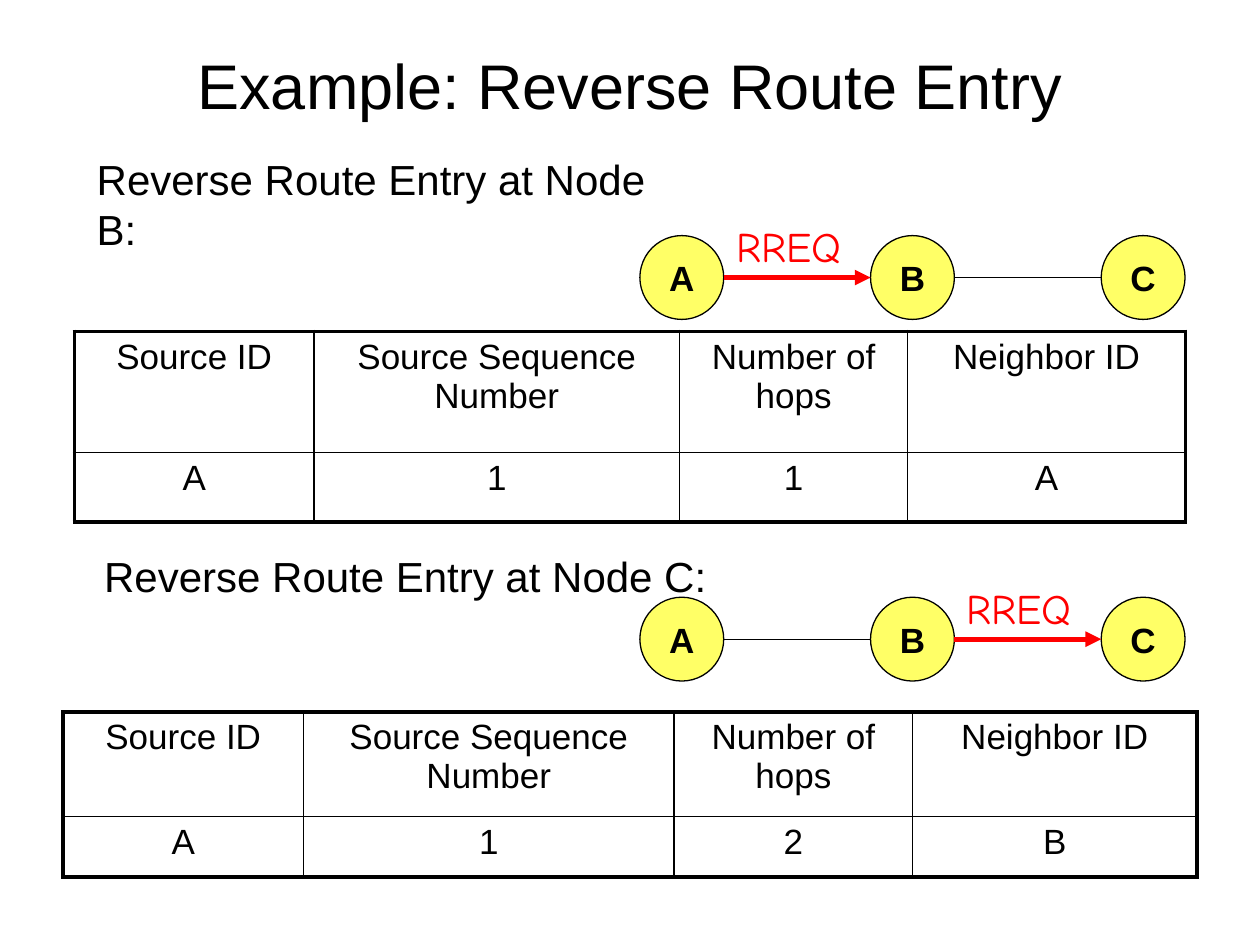
import lxml.etree
import pptx
import pptx.dml.color
import pptx.enum.shapes
import pptx.enum.text
import pptx.oxml
import pptx.oxml.ns
import pptx.util

Cm = pptx.util.Cm
Pt = pptx.util.Pt
qn = pptx.oxml.ns.qn
ANCHOR = pptx.enum.text.MSO_ANCHOR
ALIGN = pptx.enum.text.PP_ALIGN


def color(value):
    return pptx.dml.color.RGBColor.from_string(value)


def write(frame, text, frame_format, alignment, **font_format):
    for name, value in frame_format.items():
        setattr(frame, name, value)
    paragraph = frame.paragraphs[0]
    paragraph.alignment = alignment
    run = paragraph.add_run()
    run.text = text
    font_color = font_format.pop("color", "000000")
    for name, value in {"name": "Arial", **font_format}.items():
        setattr(run.font, name, value)
    run.font.color.rgb = color(font_color)


presentation = pptx.Presentation()
presentation.slide_width = Cm(25.4)
presentation.slide_height = Cm(19.05)
slide = presentation.slides.add_slide(presentation.slide_layouts[6])

title = slide.shapes.add_textbox(Cm(1.27), Cm(0.33), Cm(22.86), Cm(2.74))
title_format = {"word_wrap": True, "vertical_anchor": ANCHOR.MIDDLE}
write(title.text_frame, "Example: Reverse Route Entry", title_format, ALIGN.CENTER, size=Pt(36))

header = ["Source ID", "Source Sequence Number", "Number of hops", "Neighbor ID"]
entries = [
    {
        "heading": "Reverse Route Entry at Node B:",
        "heading_box": (1.7, 2.97, 12.4, 1.27),
        "wrap": True,
        "nodes_top": 4.75,
        "request_link": 0,
        "table_at": (1.5, 6.68),
        "columns": [4.83, 7.37, 4.6, 5.6],
        "rows": [2.44, 1.4],
        "values": ["A", "1", "1", "A"],
    },
    {
        "heading": "Reverse Route Entry at Node C:",
        "heading_box": (1.85, 10.97, 12.65, 1.27),
        "wrap": False,
        "nodes_top": 12.04,
        "request_link": 1,
        "table_at": (1.27, 14.35),
        "columns": [4.85, 7.47, 4.81, 5.73],
        "rows": [2.11, 1.22],
        "values": ["A", "1", "2", "B"],
    },
]

node_size = 1.69
node_left = 12.9
node_step = 4.65

for entry in entries:
    widths, heights = entry["columns"], entry["rows"]
    frame = slide.shapes.add_table(
        2, 4, *map(Cm, entry["table_at"]), Cm(sum(widths)), Cm(sum(heights))
    )
    table = frame.table
    for name in ("first_row", "horz_banding"):
        setattr(table, name, False)
    for column, width in zip(table.columns, widths):
        column.width = Cm(width)
    for row, height in zip(table.rows, heights):
        row.height = Cm(height)
    for row_index, texts in enumerate([header, entry["values"]]):
        for column_index, text in enumerate(texts):
            cell = table.cell(row_index, column_index)
            write(cell.text_frame, text, {}, ALIGN.CENTER, size=Pt(20))
            properties = cell._tc.get_or_add_tcPr()
            outer_sides = {
                "lnL": column_index == 0,
                "lnR": column_index == 3,
                "lnT": row_index == 0,
                "lnB": row_index == 1,
            }
            for side, outer in outer_sides.items():
                border = lxml.etree.SubElement(properties, qn(f"a:{side}"), w=str(Pt(2.25 if outer else 1)))
                fill = lxml.etree.SubElement(border, qn("a:solidFill"))
                lxml.etree.SubElement(fill, qn("a:srgbClr"), val="000000")
            cell.fill.background()

    heading = slide.shapes.add_textbox(*map(Cm, entry["heading_box"]))
    write(heading.text_frame, entry["heading"], {"word_wrap": entry["wrap"]}, ALIGN.LEFT, size=Pt(24))

    top = entry["nodes_top"]
    group = slide.shapes.add_group_shape()
    for index, letter in enumerate("ABC"):
        node = group.shapes.add_shape(
            pptx.enum.shapes.MSO_SHAPE.OVAL,
            Cm(node_left + index * node_step), Cm(top), Cm(node_size), Cm(node_size),
        )
        node.shadow.inherit = False
        node.fill.solid()
        node.fill.fore_color.rgb = color("FFFF66")
        node.line.color.rgb = color("000000")
        node.line.width = Pt(0.75)
        node_format = {"word_wrap": False, "vertical_anchor": ANCHOR.MIDDLE}
        write(node.text_frame, letter, node_format, ALIGN.CENTER, size=Pt(20), bold=True)

    middle = top + node_size / 2
    for index in range(2):
        start = node_left + index * node_step + node_size
        end = node_left + (index + 1) * node_step
        link = group.shapes.add_connector(
            pptx.enum.shapes.MSO_CONNECTOR.STRAIGHT, Cm(start), Cm(middle), Cm(end), Cm(middle)
        )
        carries_request = index == entry["request_link"]
        link.line.color.rgb = color("FF0000" if carries_request else "000000")
        link.line.width = Pt(3 if carries_request else 0.75)
        lxml.etree.SubElement(link._element.spPr, qn("a:effectLst"))
        if carries_request:
            lxml.etree.SubElement(link.line._get_or_add_ln(), qn("a:tailEnd"), type="triangle")
            label = group.shapes.add_textbox(Cm(start), Cm(top - 0.43), Cm(end - start), Cm(1.27))
            write(label.text_frame, "RREQ", {"word_wrap": True}, ALIGN.LEFT,
                  size=Pt(24), name="Comic Neue", color="FF0000")

presentation.save("out.pptx")
